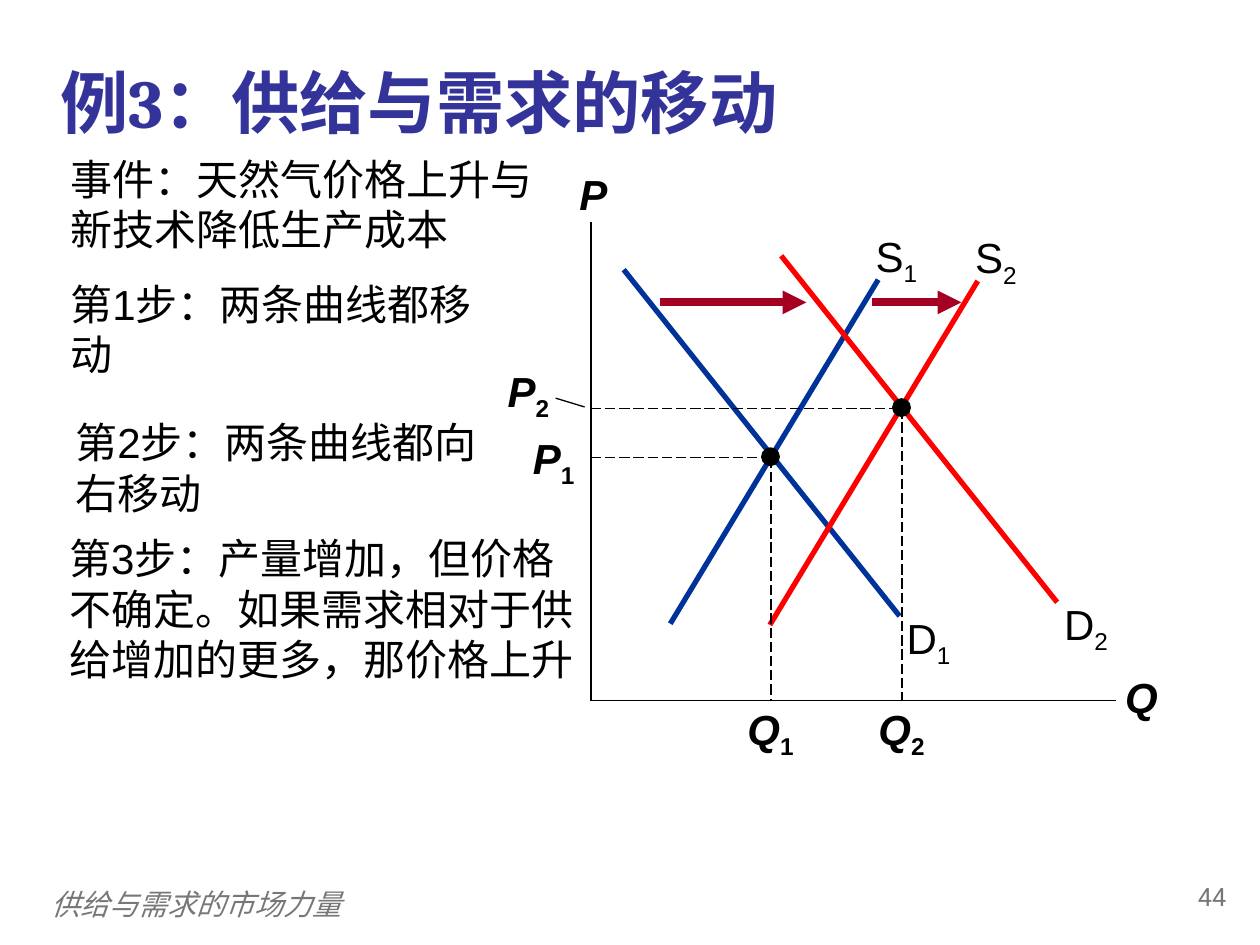
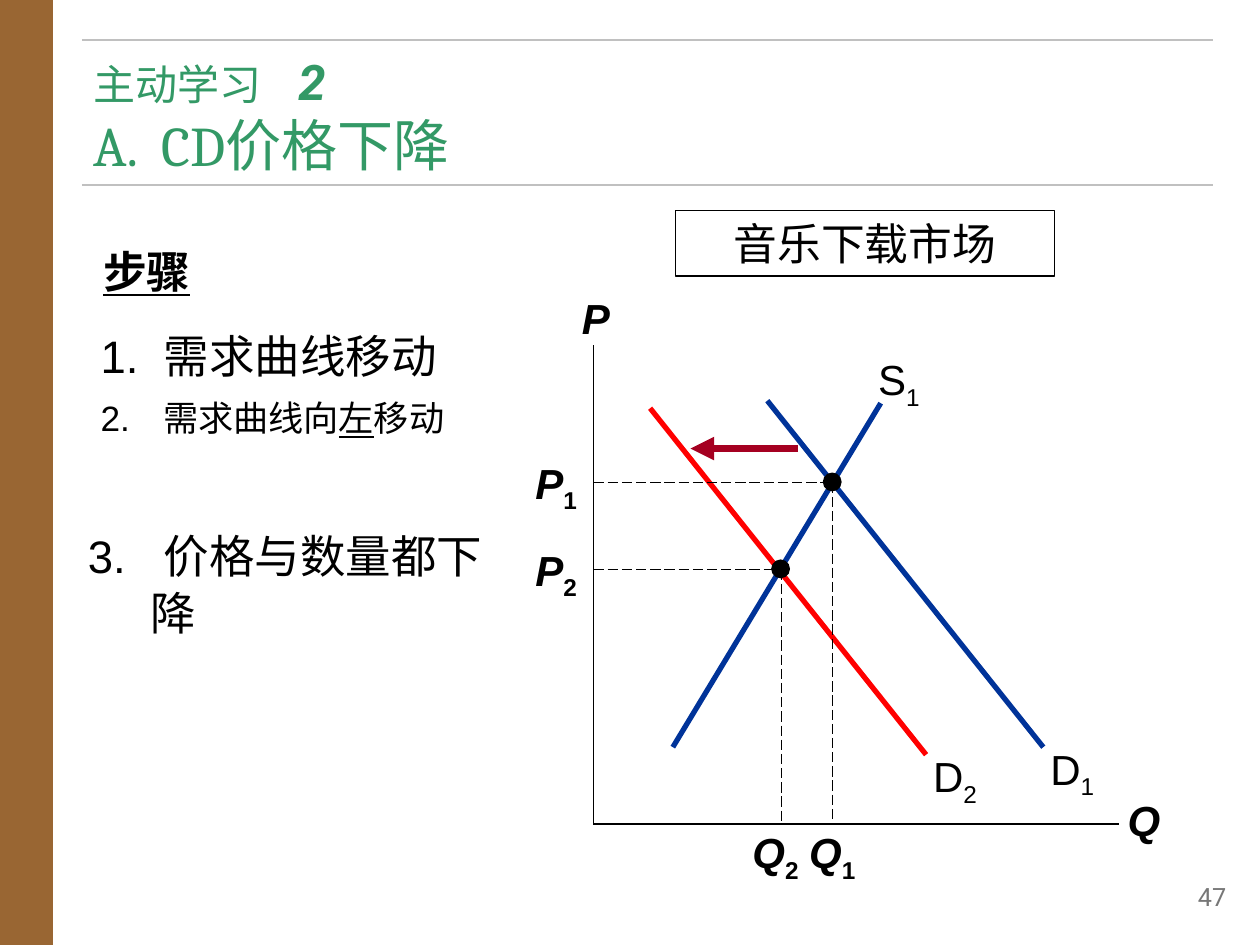
"""Two slides on shifts of supply and demand curves."""
from lxml import etree
from pptx import Presentation
from pptx.dml.color import RGBColor
from pptx.enum.dml import MSO_LINE
from pptx.enum.shapes import MSO_CONNECTOR, MSO_SHAPE
from pptx.enum.text import MSO_ANCHOR, PP_ALIGN
from pptx.oxml.ns import qn
from pptx.util import Inches, Pt

STRAIGHT = MSO_CONNECTOR.STRAIGHT
DASH = MSO_LINE.LONG_DASH
RECTANGLE, OVAL = MSO_SHAPE.RECTANGLE, MSO_SHAPE.OVAL
TOP, MIDDLE = MSO_ANCHOR.TOP, MSO_ANCHOR.MIDDLE
LEFT, CENTER, RIGHT = PP_ALIGN.LEFT, PP_ALIGN.CENTER, PP_ALIGN.RIGHT

COLORS = {
    "ink": "000000",
    "paper": "FFFFFF",
    "title": "333399",
    "activity": "339966",
    "band": "996633",
    "rule": "C0C0C0",
    "footer": "777777",
    "before": "003399",
    "after": "FF0000",
    "shift": "A50021",
}
BODY_FONT, TITLE_FONT, NUMBER_FONT = "Arial", "Cambria", "Roboto"
LABEL_SIZE = 24
DOT = 0.15

# Run of each curve from its left end, and label offset from its right end.
CURVES = {
    "D": {"run": (2.19, 2.75), "label": (-0.07, -0.08), "width": 0.6},
    "S": {"run": (1.65, -2.73), "label": (-0.17, -0.44), "width": 0.63},
}


def color(name):
    """Return the named colour."""
    return RGBColor.from_string(COLORS[name])


def add_run(paragraph, text, size, font=BODY_FONT, ink="ink", bold=False,
            italic=False, underline=False, subscript=False):
    """Append one formatted run."""
    run = paragraph.add_run()
    run.text = text
    run.font.size = Pt(size)
    run.font.name = font
    run.font.color.rgb = color(ink)
    run.font.bold = bold
    run.font.italic = italic
    run.font.underline = underline
    if subscript:
        run._r.get_or_add_rPr().set("baseline", "-25000")


def set_frame(shape, align=LEFT, anchor=TOP, inset=True):
    """Prepare a shape's text frame and return its first paragraph."""
    frame = shape.text_frame
    frame.word_wrap = True
    frame.vertical_anchor = anchor
    frame.margin_left = frame.margin_right = Inches(0.1 if inset else 0)
    frame.margin_top = frame.margin_bottom = Inches(0.05 if inset else 0)
    paragraph = frame.paragraphs[0]
    paragraph.alignment = align
    return paragraph


def add_text(slide, box, align=LEFT, anchor=TOP, inset=True, spacing=None):
    """Add a text box and return its empty paragraph."""
    textbox = slide.shapes.add_textbox(*map(Inches, box))
    paragraph = set_frame(textbox, align, anchor, inset)
    if spacing:
        paragraph.line_spacing = spacing
    return paragraph


def add_block(slide, kind, box, fill, outline=None):
    """Add a filled preset shape."""
    block = slide.shapes.add_shape(kind, *map(Inches, box))
    block.shadow.inherit = False
    block.fill.solid()
    block.fill.fore_color.rgb = color(fill)
    if outline:
        block.line.color.rgb = color(outline)
        block.line.width = Pt(0.75)
    else:
        block.line.fill.background()
    return block


def add_line(slide, start, end, ink="ink", width=1.0, dash=None, arrow=False):
    """Add a straight line, optionally dashed or ending in an arrowhead."""
    line = slide.shapes.add_connector(STRAIGHT, *map(Inches, (*start, *end)))
    line.line.color.rgb = color(ink)
    line.line.width = Pt(width)
    if dash:
        line.line.dash_style = dash
    properties = line._element.spPr
    if arrow:
        outline = properties.find(qn("a:ln"))
        etree.SubElement(outline, qn("a:tailEnd"), type="triangle")
    etree.SubElement(properties, qn("a:effectLst"))


def add_tabs(paragraph, stops):
    """Give a paragraph left tab stops in inches."""
    tabs = etree.SubElement(paragraph._p.get_or_add_pPr(), qn("a:tabLst"))
    for stop in stops:
        etree.SubElement(tabs, qn("a:tab"), pos=str(Inches(stop)), algn="l")


def add_page_number(slide, number):
    """Add the page number at the lower right."""
    page = add_text(slide, (9.08, 6.97, 0.75, 0.4), RIGHT, spacing=0.9)
    add_run(page, str(number), 14.4, NUMBER_FONT, "footer")


def add_axes(slide, origin):
    """Draw the price and quantity axes with their names."""
    x, y = origin
    add_line(slide, (x, y - 3.8), origin)
    add_line(slide, origin, (x + 4.17, y))
    for name, box in (("P", (x - 0.21, y - 4.27, 0.46, 0.5)),
                      ("Q", (x + 4.12, y - 0.28, 0.5, 0.5))):
        add_run(add_text(slide, box, CENTER), name, LABEL_SIZE,
                bold=True, italic=True)


def add_curve(slide, name, index, start, ink):
    """Draw a supply or demand curve and label its right end."""
    curve = CURVES[name]
    end = [a + b for a, b in zip(start, curve["run"])]
    add_line(slide, start, end, ink, 3)
    corner = [a + b for a, b in zip(end, curve["label"])]
    label = add_text(slide, (*corner, curve["width"], 0.56), CENTER)
    add_run(label, name, LABEL_SIZE)
    add_run(label, index, LABEL_SIZE, subscript=True)


def add_equilibrium(slide, origin, point, index, price_at=None,
                    quantity_offset=-0.27):
    """Mark an equilibrium with guides to both axes and their labels."""
    x, y = point
    left, bottom = origin
    add_line(slide, (left, y), point, width=0.75, dash=DASH)
    add_line(slide, point, (x, bottom), width=0.75, dash=DASH)
    add_block(slide, OVAL, (x - 0.08, y - 0.08, DOT, DOT), "ink")
    price_at = price_at or (left - 0.56, y - 0.2)
    for name, corner in (("P", price_at),
                         ("Q", (x + quantity_offset, bottom + 0.02))):
        label = add_text(slide, (*corner, 0.53, 0.46), CENTER, inset=False)
        add_run(label, name, LABEL_SIZE, bold=True, italic=True)
        add_run(label, index, LABEL_SIZE, bold=True, subscript=True)


def add_shift(slide, start_x, end_x, y):
    """Draw the arrow that shows which way a curve moves."""
    add_line(slide, (start_x, y), (end_x, y), "shift", 4.5, arrow=True)


def add_step(slide, box, size, spacing, *parts):
    """Add a numbered step with a hanging indent."""
    step = add_text(slide, box, spacing=spacing)
    properties = step._p.get_or_add_pPr()
    properties.set("marL", str(Inches(0.5)))
    properties.set("indent", str(Inches(-0.5)))
    for text, underline in parts:
        add_run(step, text, size, underline=underline)


def build_both_shift(slide):
    """Build the example where both curves move right."""
    footer = add_text(slide, (0.31, 6.99, 8.02, 0.4), anchor=MIDDLE,
                      spacing=0.9)
    add_run(footer, "供给与需求的市场力量", 16.6, ink="footer", italic=True)
    add_page_number(slide, 44)
    title = add_text(slide, (0.38, 0.18, 9.13, 1.25), anchor=MIDDLE)
    add_run(title, "例3：供给与需求的移动", 39, TITLE_FONT, "title", bold=True)

    origin = (4.69, 5.56)
    add_axes(slide, origin)
    add_curve(slide, "D", "1", (4.95, 2.14), "before")
    add_curve(slide, "S", "1", (5.32, 4.95), "before")
    add_curve(slide, "S", "2", (6.11, 4.96), "after")
    add_curve(slide, "D", "2", (6.2, 2.03), "after")
    add_equilibrium(slide, origin, (6.12, 3.63), "1")
    add_equilibrium(slide, origin, (7.16, 3.24), "2", price_at=(3.93, 2.9))
    add_line(slide, (4.64, 3.23), (4.41, 3.16), width=0.75)
    add_shift(slide, 5.24, 6.4, 2.4)
    add_shift(slide, 6.92, 7.63, 2.4)

    for box, text in (
        ((0.46, 1.17, 4.06, 0.9), "事件：天然气价格上升与新技术降低生产成本"),
        ((0.46, 2.16, 3.6, 0.9), "第1步：两条曲线都移动"),
        ((0.5, 3.26, 3.5, 1.08), "第2步：两条曲线都向右移动"),
        ((0.45, 4.18, 4.29, 2.49),
         "第3步：产量增加，但价格不确定。如果需求相对于供给增加的更多，那价格上升"),
    ):
        add_run(add_text(slide, box), text, 24)


def build_demand_falls(slide):
    """Build the activity where demand moves left."""
    add_block(slide, RECTANGLE, (0, 0, 0.42, 7.5), "band")
    for y in (0.32, 1.47):
        add_line(slide, (0.65, y), (9.63, y), "rule")
    title = add_text(slide, (0.64, 0.39, 8.98, 1.04), anchor=MIDDLE)
    add_tabs(title, (0.54, 1.63))
    add_run(title, "主动学习\t", 24, NUMBER_FONT, "activity")
    add_run(title, "2", 28, NUMBER_FONT, "activity", bold=True, italic=True)
    title.add_line_break()
    add_run(title, "A.\tCD价格下降", 32, TITLE_FONT, "activity")
    add_page_number(slide, 47)

    origin = (4.71, 6.54)
    add_axes(slide, origin)
    add_curve(slide, "D", "1", (6.09, 3.18), "before")
    add_curve(slide, "S", "1", (5.34, 5.93), "before")
    add_curve(slide, "D", "2", (5.16, 3.24), "after")
    add_equilibrium(slide, origin, (6.61, 3.83), "1")
    add_equilibrium(slide, origin, (6.2, 4.52), "2", quantity_offset=-0.31)
    add_shift(slide, 6.33, 5.48, 3.56)
    market = add_block(slide, RECTANGLE, (5.36, 1.67, 3.01, 0.52), "paper",
                       "ink")
    add_run(set_frame(market, CENTER), "音乐下载市场", 25)

    heading = add_text(slide, (0.72, 1.87, 1.51, 0.6), spacing=1.05)
    add_run(heading, "步骤", 25, bold=True, underline=True)
    add_step(slide, (0.7, 2.53, 3.37, 0.6), 26, 1.05,
             ("1.\t需求曲线移动", False))
    add_step(slide, (0.7, 3.15, 2.93, 0.67), 20.1, 0.85,
             ("2.\t需求曲线向", False), ("左", True), ("移动", False))
    add_step(slide, (0.6, 4.12, 3.37, 1.05), 26, 1.05,
             ("3.\t 价格与数量都下 降", False))


def main():
    """Build and save the presentation."""
    deck = Presentation()
    deck.slide_width, deck.slide_height = Inches(10), Inches(7.5)
    blank = deck.slide_layouts[6]
    for build in (build_both_shift, build_demand_falls):
        build(deck.slides.add_slide(blank))
    deck.save("out.pptx")


if __name__ == "__main__":
    main()
